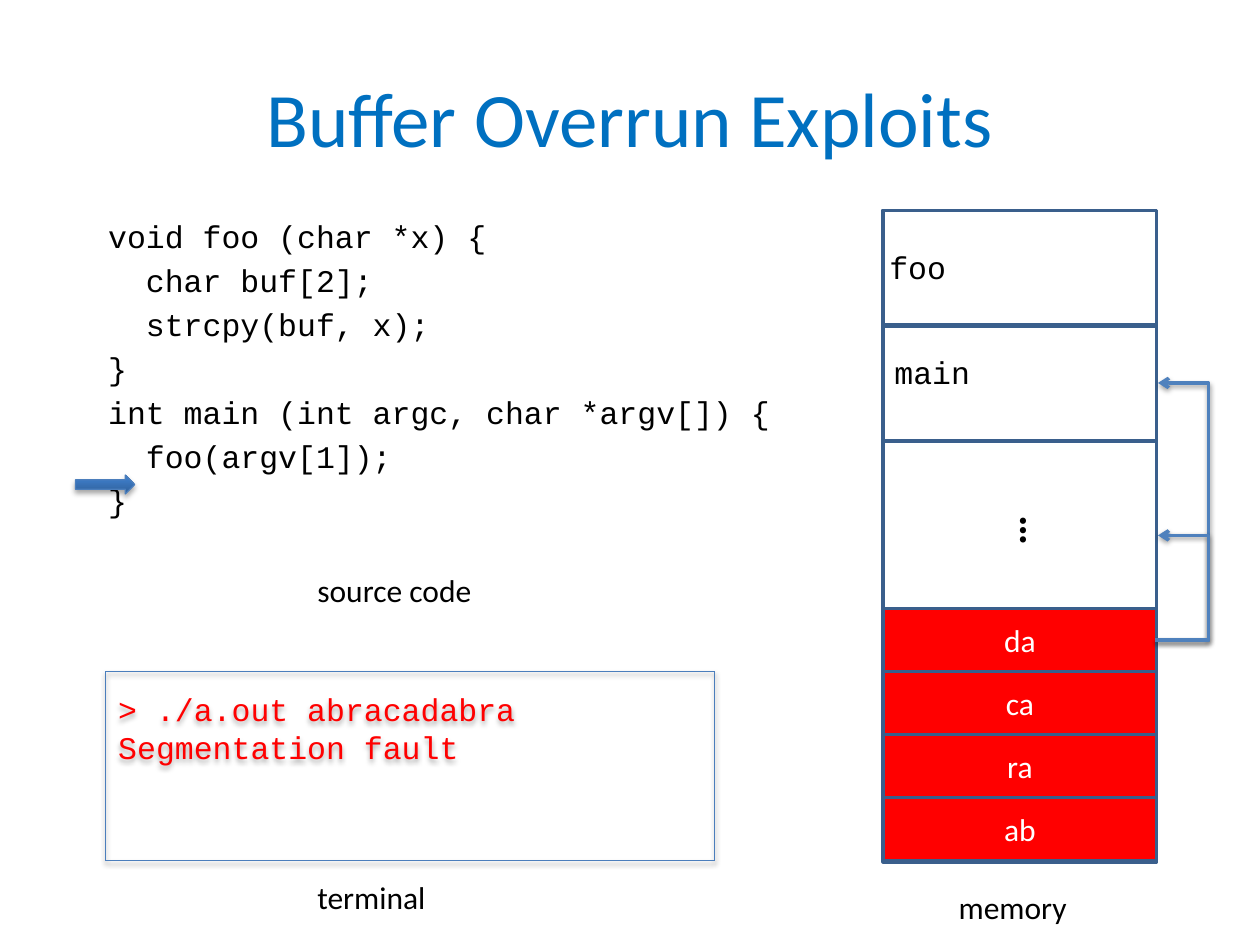
import pptx
import pptx.dml.color
import pptx.enum.shapes
import pptx.enum.text
import pptx.oxml
import pptx.oxml.ns
import pptx.util
from pptx.util import Inches

SHAPE = pptx.enum.shapes.MSO_SHAPE
ANCHOR = pptx.enum.text.MSO_ANCHOR
ALIGN = pptx.enum.text.PP_ALIGN
COLORS = {
    "title": "0070C0", "text": "000000", "light": "FFFFFF", "alert": "FF0000",
    "frame": "3A5F8C", "edge": "4B7EBC", "link": "4F81BD",
    "deep": "2F5F99", "blue": "3D7CC7",
}
SANS, MONO = "Calibri", "Courier New"


def color(name):
    return pptx.dml.color.RGBColor.from_string(COLORS[name])


def add_xml(parent, tag, body="", **attrs):
    """Append one DrawingML element, with optional inner XML."""
    space = pptx.oxml.ns.nsdecls("a")
    pairs = " ".join(f'{key}="{value}"' for key, value in attrs.items())
    node = pptx.oxml.parse_xml(f"<a:{tag} {space} {pairs}>{body}</a:{tag}>")
    parent.append(node)
    return node


class Deck:
    def __init__(self):
        self.file = pptx.Presentation()
        self.file.slide_width, self.file.slide_height = Inches(10), Inches(7.5)
        self.slide = self.file.slides.add_slide(self.file.slide_layouts[5])
        self.shapes = self.slide.shapes

    def fill_text(self, frame, lines, size=18, font=SANS, ink="text",
                  align=ALIGN.LEFT, bold=False, gap=0):
        for i, line in enumerate(lines):
            para = frame.paragraphs[0] if i == 0 else frame.add_paragraph()
            para.text = line
            para.alignment = align
            para.font.size = pptx.util.Pt(size)
            para.font.name = font
            para.font.bold = bold
            para.font.color.rgb = color(ink)
            if i and gap:
                para.space_before = pptx.util.Pt(gap)

    def title(self, text, *box):
        head = self.shapes.title
        head.left, head.top, head.width, head.height = map(Inches, box)
        head.text_frame.vertical_anchor = ANCHOR.MIDDLE
        self.fill_text(head.text_frame, [text], 44, ink="title",
                       align=ALIGN.CENTER)

    def text(self, lines, *box, wrap=False, **style):
        label = self.shapes.add_textbox(*map(Inches, box))
        label.text_frame.word_wrap = wrap
        self.fill_text(label.text_frame, lines, **style)
        return label

    def cell(self, top, height, text=None):
        """Draw one memory block, red when it holds text."""
        box = self.shapes.add_shape(
            SHAPE.RECTANGLE, *map(Inches, (7.01, top, 2.17, height)))
        box.shadow.inherit = False
        box.line.color.rgb = color("frame")
        box.line.width = pptx.util.Pt(2)
        if text is None:
            box.fill.background()
            return
        box.fill.solid()
        box.fill.fore_color.rgb = color("alert")
        box.text_frame.vertical_anchor = ANCHOR.MIDDLE
        self.fill_text(box.text_frame, [text], ink="light", align=ALIGN.CENTER)

    def shade(self, props, dist, alpha):
        """Add a soft shadow that falls straight down."""
        effects = props.find(pptx.oxml.ns.qn("a:effectLst"))
        if effects is None:
            effects = add_xml(props, "effectLst")
        add_xml(effects, "outerShdw",
                f'<a:srgbClr val="000000"><a:alpha val="{alpha}000"/></a:srgbClr>',
                blurRad=pptx.util.Pt(3.1), dist=pptx.util.Pt(dist),
                dir=5400000, rotWithShape=0)

    def glossy(self, kind, *box):
        """Draw a shape with a blue gradient and a shadow."""
        shape = self.shapes.add_shape(kind, *map(Inches, box))
        shape.shadow.inherit = False
        shape.fill.gradient()
        shape.fill.gradient_angle = 90
        stops = zip(shape.fill.gradient_stops, (0, 0.8), ("deep", "blue"))
        for stop, place, name in stops:
            stop.color.rgb = color(name)
            stop.position = place
        shape.line.color.rgb = color("edge")
        shape.line.width = pptx.util.Pt(0.75)
        self.shade(shape._element.spPr, 1.8, 35)
        return shape

    def link(self, start, end, reach):
        """Draw an elbow arrow that swings out to the right by reach."""
        line = self.shapes.add_connector(
            pptx.enum.shapes.MSO_CONNECTOR.ELBOW, *map(Inches, start + end))
        line.line.color.rgb = color("link")
        line.line.width = pptx.util.Pt(2)
        props = line._element.spPr
        add_xml(props.find(pptx.oxml.ns.qn("a:ln")), "tailEnd", type="arrow")
        bend = round(reach / (end[0] - start[0]) * 100000)
        guides = props.find(".//" + pptx.oxml.ns.qn("a:avLst"))
        if guides is None:
            guides = add_xml(props.find(pptx.oxml.ns.qn("a:prstGeom")), "avLst")
        add_xml(guides, "gd", name="adj1", fmla=f"val {bend}")
        self.shade(props, 1.6, 38)


def main():
    deck = Deck()
    deck.title("Buffer Overrun Exploits", 0.5, 0.3, 9, 1.25)
    code = [
        "void foo (char *x) {",
        "  char buf[2];",
        "  strcpy(buf, x);",
        "}",
        "int main (int argc, char *argv[]) {",
        "  foo(argv[1]);",
        "}",
    ]
    deck.text(code, 0.76, 1.67, 5.75, 3.08, wrap=True, font=MONO, gap=3.6)

    deck.cell(1.67, 5.17)
    deck.cell(2.58, 0.92)
    dots = deck.text(["…"], 7.76, 3.93, 0.5, 0.5, size=24, bold=True)
    dots.rotation = 270
    for i, pair in enumerate(("ab", "ra", "ca", "da")):
        deck.cell(6.33 - i * 0.5, 0.5, pair)
    deck.cell(1.67, 0.92)

    screen = deck.glossy(SHAPE.FRAME, 0.84, 5.33, 4.83, 1.5)
    screen.adjustments[0] = 0
    screen.text_frame.vertical_anchor = ANCHOR.TOP
    screen.text_frame.margin_top = Inches(0.15)
    deck.fill_text(screen.text_frame,
                   ["> ./a.out abracadabra", "Segmentation fault"],
                   font=MONO, ink="alert")

    for name, left, top, width, font in (
        ("memory", 7.51, 7, 1.09, SANS),
        ("terminal", 2.42, 6.92, 1.08, SANS),
        ("source code", 2.42, 4.48, 1.48, SANS),
        ("foo", 6.96, 1.92, 0.66, MONO),
        ("main", 7, 2.75, 0.81, MONO),
    ):
        deck.text([name], left, top, width, 0.4, font=font)

    for top in (3.04, 4.25):
        deck.link((9.17, 5.08), (9.19, top), 0.42)
    deck.glossy(SHAPE.RIGHT_ARROW, 0.6, 3.77, 0.47, 0.15)
    deck.file.save("out.pptx")


if __name__ == "__main__":
    main()
